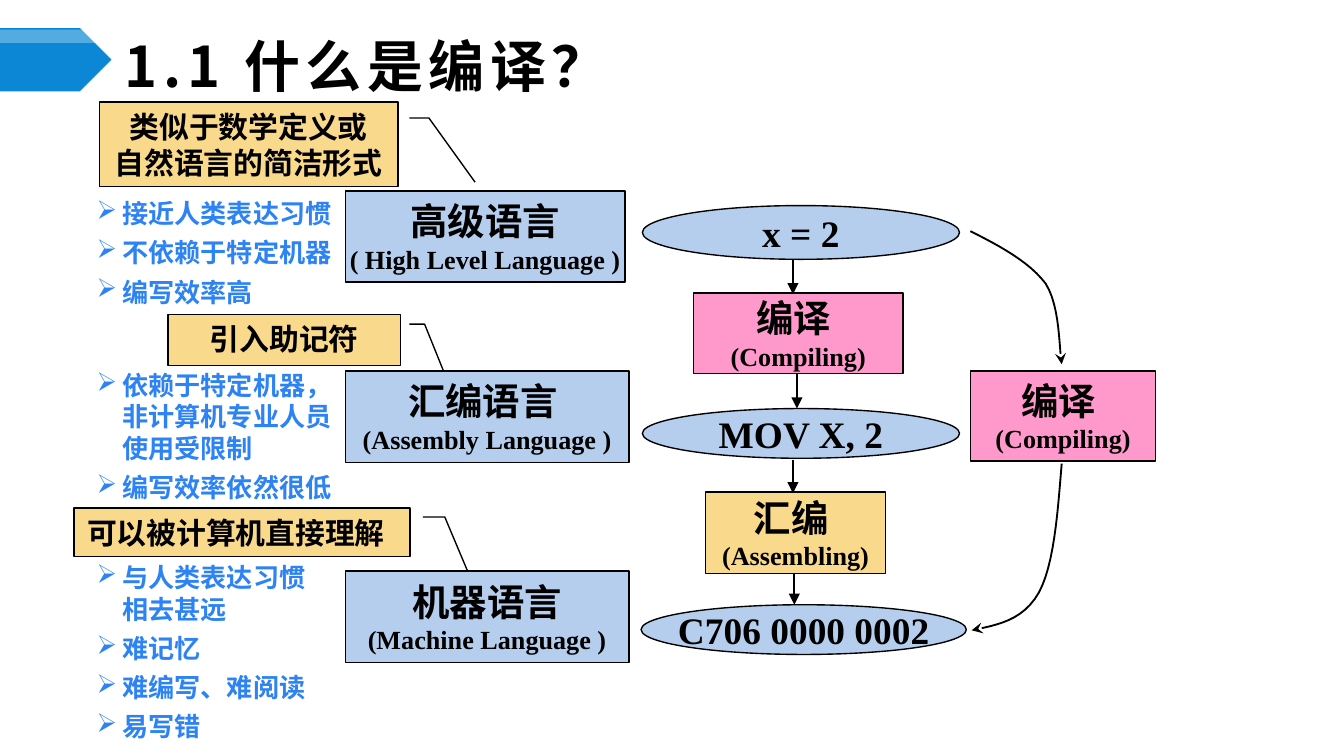
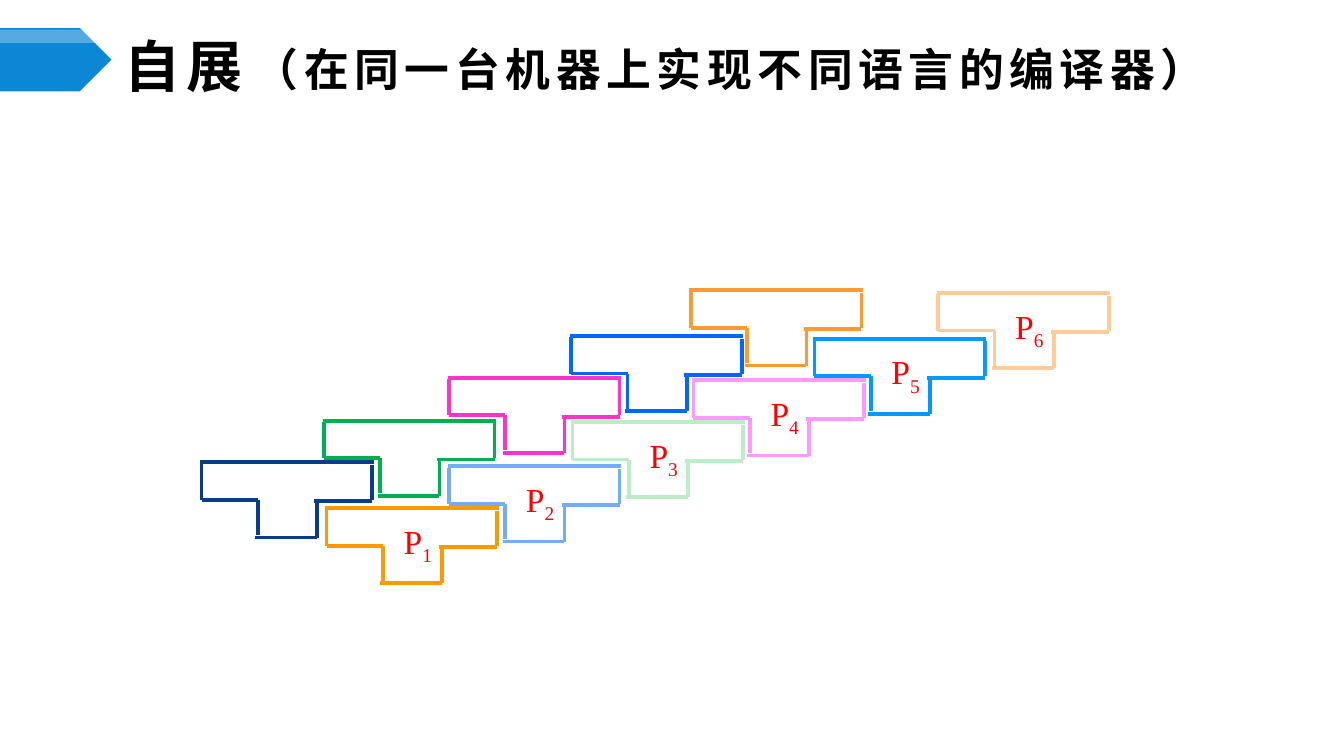
"""Builds two slides on compiling: language levels and bootstrapping."""
from dataclasses import dataclass

from lxml.etree import SubElement
from pptx import Presentation
from pptx.dml.color import RGBColor
from pptx.enum.shapes import MSO_CONNECTOR, MSO_SHAPE as SHAPE
from pptx.enum.text import MSO_ANCHOR as ANCHOR, PP_ALIGN as ALIGN
from pptx.oxml.ns import qn
from pptx.util import Emu, Inches, Pt


@dataclass(frozen=True)
class Theme:
    black: str = "000000"
    white: str = "FFFFFF"
    band: str = "0B87D6"
    blue: str = "B5CEED"
    pink: str = "FF99CC"
    yellow: str = "F9D98C"
    bullet: str = "2D83F4"
    label: str = "FF0000"
    cjk: str = "Noto Sans CJK SC"
    sans: str = "Arial"
    serif: str = "Times New Roman"
    title: int = 30
    subtitle: int = 24
    heading: int = 20
    tag: int = 18
    callout: int = 16
    body: int = 14
    outline: float = 0.75
    arrow: float = 1
    tee: float = 2


T = Theme()
COLUMNS = 100
TEE_STROKES = [
    (0, 0, 12.9, 0), (0.1, 0.1, 0.1, 2.8), (12.8, 0.2, 12.8, 2.8),
    (0.1, 2.8, 4.3, 2.8), (8.5, 2.9, 12.8, 2.9),
    (4.3, 2.8, 4.3, 5.4), (8.7, 3, 8.7, 5.6), (4.1, 5.6, 8.7, 5.6),
]


def add_text(tf, text, size=T.body, font=T.cjk, color=T.black, bold=True,
             align=None, leading=None, before=None, tracking=0, bullet=None,
             indent=0, sub=None):
    p = tf.paragraphs[0]
    if p.runs:
        p = tf.add_paragraph()
    if align is not None:
        p.alignment = align
    if leading:
        p.line_spacing = Pt(size * leading)
    if before:
        p.space_before = Pt(size * before)
    if bullet:
        pPr = p._p.get_or_add_pPr()
        pPr.set("marL", str(indent))
        pPr.set("indent", str(-indent))
        SubElement(pPr, qn("a:buChar")).set("char", bullet)
    for part, offset in ((text, 0), (sub, -25000)):
        if not part:
            continue
        r = p.add_run()
        r.text = part
        r.font.size, r.font.name, r.font.bold = Pt(size), font, bold
        r.font.color.rgb = RGBColor.from_string(color)
        rPr = r._r.get_or_add_rPr()
        SubElement(rPr, qn("a:ea")).set("typeface", T.cjk)
        if offset:
            rPr.set("baseline", str(offset))
        if tracking:
            rPr.set("spc", str(tracking * 100))


def bezier(start, segments, steps=12):
    points = [start]
    for a, b, end in segments:
        first = points[-1]
        for i in range(1, steps + 1):
            t = i / steps
            s = 1 - t
            points.append(tuple(
                s ** 3 * p0 + 3 * s * s * t * p1 + 3 * s * t * t * p2 + t ** 3 * p3
                for p0, p1, p2, p3 in zip(first, a, b, end)))
    return points


class Deck:
    def __init__(self):
        self.prs = Presentation()
        self.prs.slide_width, self.prs.slide_height = Inches(10), Inches(5.625)
        self.unit = self.prs.slide_width / COLUMNS
        self.slide = None

    def grid(self, *lengths):
        return [Emu(round(n * self.unit)) for n in lengths]

    def new_slide(self, title):
        self.slide = self.prs.slides.add_slide(self.prs.slide_layouts[6])
        self.shape(SHAPE.PENTAGON, (0, 2.1, 8.3, 4.7), T.band, outlined=False)
        shine = self.shape(SHAPE.PENTAGON, (0, 2.2, 8.3, 1), T.white, outlined=False)
        color = shine._element.spPr.find(".//" + qn("a:srgbClr"))
        SubElement(color, qn("a:alpha")).set("val", "30000")
        tf = self.text_box((8.3, 2.9, 86.7, 3.9), anchor=ANCHOR.MIDDLE)
        add_text(tf, title, size=T.title, tracking=3)

    def text_box(self, box, anchor=ANCHOR.TOP, wrap=True):
        tf = self.slide.shapes.add_textbox(*self.grid(*box)).text_frame
        tf.word_wrap, tf.vertical_anchor = wrap, anchor
        return tf

    def shape(self, kind, box, fill, outlined=True):
        sp = self.slide.shapes.add_shape(kind, *self.grid(*box))
        sp.shadow.inherit = False
        sp.fill.solid()
        sp.fill.fore_color.rgb = RGBColor.from_string(fill)
        if outlined:
            self.stroke(sp.line, T.black, T.outline)
        else:
            sp.line.fill.background()
        return sp

    def stroke(self, line, color, width, arrow=None):
        line.color.rgb = RGBColor.from_string(color)
        line.width = Pt(width)
        if arrow:
            SubElement(line._get_or_add_ln(), qn("a:tailEnd")).set("type", arrow)

    def node(self, kind, box, fill, name, english=None):
        tf = self.shape(kind, box, fill).text_frame
        tf.word_wrap, tf.vertical_anchor = False, ANCHOR.MIDDLE
        add_text(tf, name, size=T.heading, font=T.serif, align=ALIGN.CENTER)
        if english:
            add_text(tf, english, font=T.serif, align=ALIGN.CENTER)

    def callout(self, box, lines, elbow, tip, align=ALIGN.CENTER):
        sp = self.shape(SHAPE.LINE_CALLOUT_2, box, T.yellow)
        for i, value in enumerate((0.188, 1.039, 0.188, elbow, *tip)):
            sp.adjustments[i] = value
        tf = sp.text_frame
        tf.word_wrap, tf.vertical_anchor = True, ANCHOR.TOP
        for text in lines:
            add_text(tf, text, size=T.callout, align=align, leading=1.2)

    def bullets(self, box, items, font=T.cjk):
        tf = self.text_box(box)
        for text in items:
            add_text(tf, text, font=font, color=T.bullet, leading=1.2, before=0.3,
                     bullet="➢", indent=self.grid(1.9)[0])

    def line(self, ends, color=T.black, width=T.arrow, arrow=None):
        cn = self.slide.shapes.add_connector(MSO_CONNECTOR.STRAIGHT, *self.grid(*ends))
        self.stroke(cn.line, color, width, arrow)
        SubElement(cn._element.spPr, qn("a:effectLst"))

    def curve(self, start, segments):
        first, *rest = [self.grid(*pt) for pt in bezier(start, segments)]
        builder = self.slide.shapes.build_freeform(*first)
        builder.add_line_segments(rest, close=False)
        sp = builder.convert_to_shape()
        sp.shadow.inherit = False
        sp.fill.background()
        self.stroke(sp.line, T.black, T.arrow, "stealth")

    def tee(self, left, top, color, sub=None):
        for x1, y1, x2, y2 in TEE_STROKES:
            self.line((left + x1, top + y1, left + x2, top + y2), color, T.tee)
        if sub:
            tf = self.text_box((left + 4.85, top + 0.45, 4.3, 4), wrap=False)
            add_text(tf, "P", size=T.tag, font=T.serif, color=T.label,
                     bold=False, sub=sub)


def language_slide(deck):
    deck.new_slide("1.1 什么是编译？")
    deck.callout((12.5, 23.4, 17.3, 3.8), ["引入助记符"], 1.104, (1.385, 1.21))
    deck.callout((5.5, 37.8, 25, 3.6), ["可以被计算机直接理解"], 1.104,
                 (1.951, 1.211), align=ALIGN.LEFT)
    deck.callout((7.4, 7.6, 22.2, 6.3), ["类似于数学定义或", "自然语言的简洁形式"],
                 1.104, (0.947, 1.259))

    for top, width, name, english in (
            (14.2, 20.8, "高级语言", "( High Level Language )"),
            (27.6, 21.1, "汇编语言 ", "(Assembly Language )"),
            (42.5, 21.1, "机器语言", "(Machine Language )")):
        deck.node(SHAPE.RECTANGLE, (25.7, top, width, 6.8), T.blue, name, english)

    for x, top, bottom in ((59.1, 42.5, 45), (59.3, 27.4, 30.4),
                           (59, 34.2, 36.7), (59, 19.3, 21.9)):
        deck.line((x, top, x, bottom), arrow="triangle")

    for box, fill, name, english in (
            ((52.5, 36.6, 13.4, 6.1), T.yellow, "汇编 ", "(Assembling)"),
            ((51.6, 21.8, 15.6, 6), T.pink, "编译 ", "(Compiling)"),
            ((72.2, 27.6, 13.8, 6.7), T.pink, "编译 ", "(Compiling)")):
        deck.node(SHAPE.RECTANGLE, box, fill, name, english)

    for box, code in (((47.8, 15.3, 23.6, 4), "x = 2"),
                      ((47.8, 30.4, 23.6, 3.7), "MOV X, 2"),
                      ((47.7, 45, 24.2, 3.7), "C706 0000 0002")):
        deck.node(SHAPE.OVAL, box, T.blue, code)

    deck.bullets((6.2, 14.2, 20.1, 9.5),
                 ["接近人类表达习惯", "不依赖于特定机器", "编写效率高"])
    deck.bullets((6.2, 27, 20.5, 11.1),
                 ["依赖于特定机器，非计算机专业人员使用受限制", "编写效率依然很低"],
                 font=T.sans)
    deck.bullets((6.2, 41.3, 18.1, 14.9),
                 ["与人类表达习惯相去甚远", "难记忆", "难编写、难阅读", "易写错"])

    deck.curve((72.2, 17.2), [((74.4, 18.3), (76.6, 19.5), (77.8, 21.1)),
                              ((78.9, 22.8), (78.8, 26.1), (79, 27.1))])
    deck.curve((79, 34.5), [((78.7, 38.3), (78.4, 42.1), (77.3, 44.1)),
                            ((76.1, 46.2), (74.2, 46.5), (72.3, 46.9))])


def bootstrap_slide(deck):
    deck.new_slide("自展")
    tf = deck.text_box((17.9, 2.6, 84.1, 5))
    add_text(tf, "（在同一台机器上实现不同语言的编译器）", size=T.subtitle, tracking=3)

    for left, top, color in (
            (14.9, 34.4, "073E87"), (24, 31.3, "00B050"), (33.3, 28.1, "FF33CC"),
            (42.4, 25, "0066FF"), (51.3, 21.6, "FF9933")):
        deck.tee(left, top, color)
    compiled = (
        (24.2, 37.8, "FF9900"), (33.3, 34.7, "73ACF8"), (42.5, 31.4, "BDECC9"),
        (51.5, 28.3, "FF99FF"), (60.5, 25.2, "0099FF"), (69.7, 21.8, "FFCC99"))
    for number, (left, top, color) in enumerate(compiled, 1):
        deck.tee(left, top, color, sub=str(number))


deck = Deck()
language_slide(deck)
bootstrap_slide(deck)
deck.prs.save("out.pptx")
